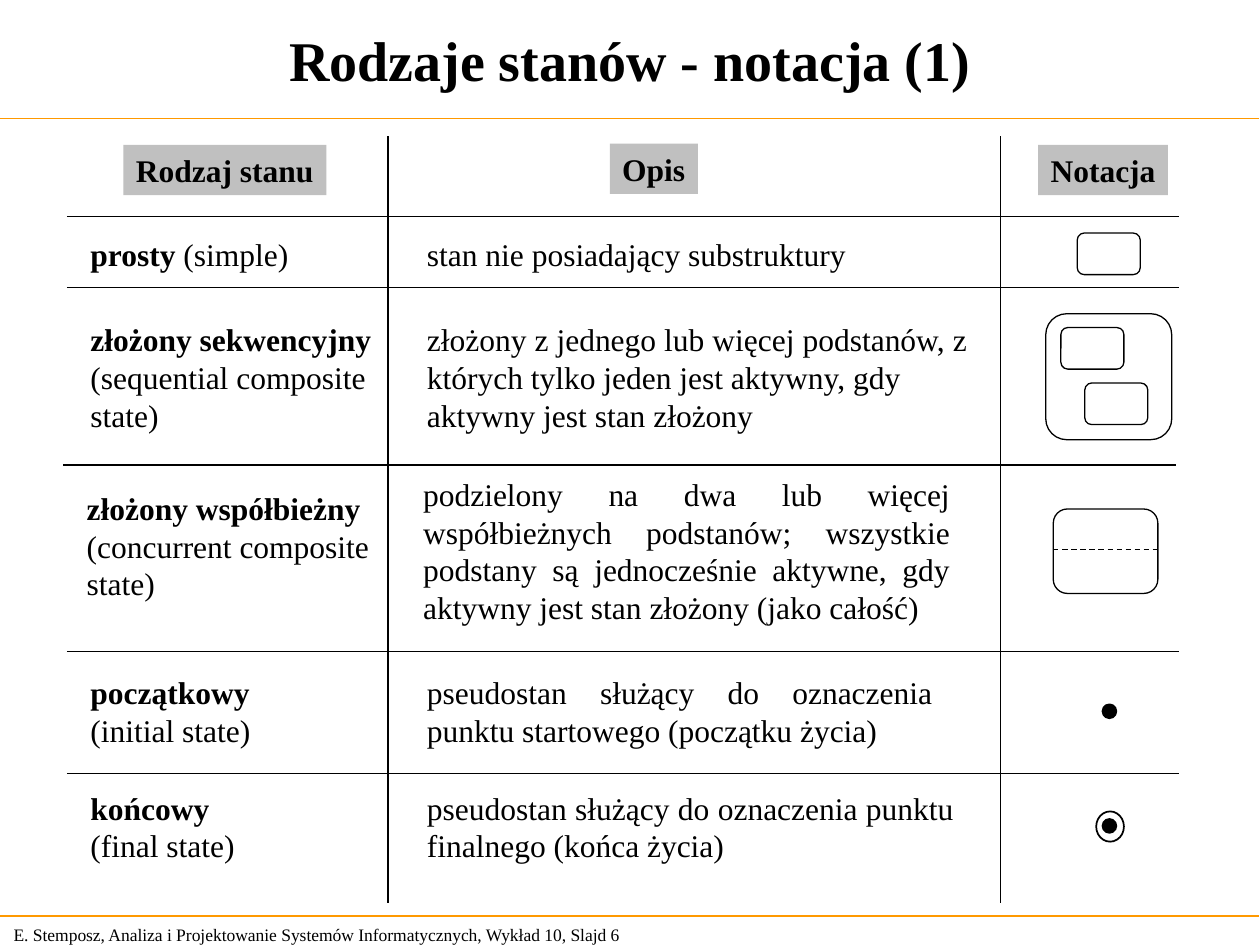
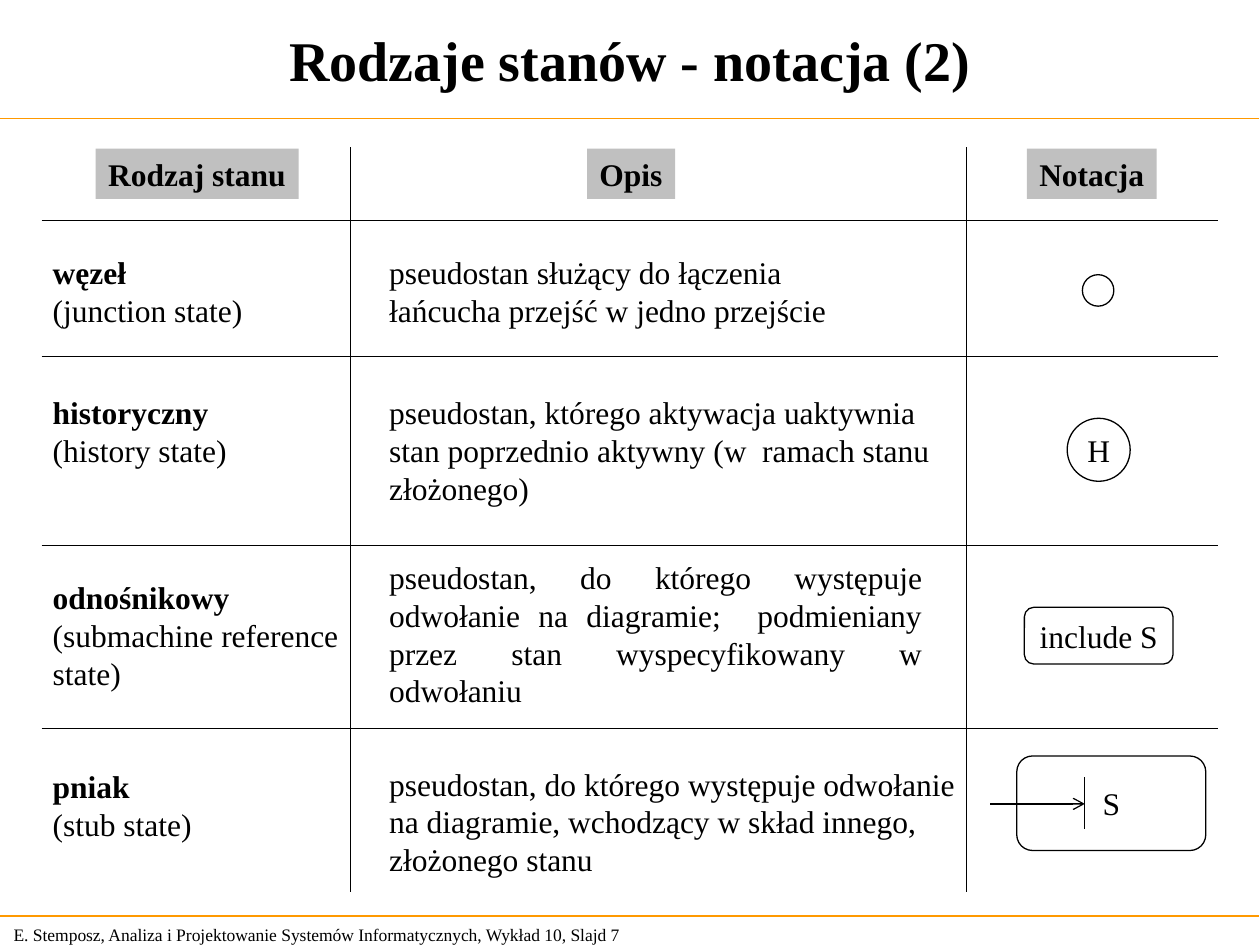
"""Build two slides that list kinds of UML states with their notation."""
from dataclasses import dataclass
from typing import Optional

from lxml import etree
from pptx import Presentation
from pptx.dml.color import RGBColor
from pptx.enum.dml import MSO_LINE
from pptx.enum.shapes import MSO_CONNECTOR, MSO_SHAPE
from pptx.enum.text import MSO_ANCHOR, PP_ALIGN
from pptx.oxml.ns import qn
from pptx.util import Emu, Pt

PX = 9144
FONT = "Times New Roman"
BLACK = RGBColor(0x00, 0x00, 0x00)
WHITE = RGBColor(0xFF, 0xFF, 0xFF)
SILVER = RGBColor(0xC0, 0xC0, 0xC0)
ORANGE = RGBColor(0xFF, 0x99, 0x00)

STRAIGHT = MSO_CONNECTOR.STRAIGHT
ROUNDED = MSO_SHAPE.ROUNDED_RECTANGLE
OVAL = MSO_SHAPE.OVAL
DASH = MSO_LINE.DASH
LEFT, CENTER, JUSTIFY = PP_ALIGN.LEFT, PP_ALIGN.CENTER, PP_ALIGN.JUSTIFY
TOP, MIDDLE = MSO_ANCHOR.TOP, MSO_ANCHOR.MIDDLE

LINE_HEIGHT = 30
TEXT_PADDING = 10
BODY_SIZE = 18
HEADINGS = (("Rodzaj stanu", 161), ("Opis", 70), ("Notacja", 103))
FOOTER = "E. Stemposz, Analiza i Projektowanie Systemów Informatycznych, Wykład 10, Slajd {}"


@dataclass(frozen=True)
class Box:
    """A rectangle in px."""
    x: int
    y: int
    width: int
    height: int

    def emu(self) -> tuple[Emu, ...]:
        """Return the four lengths in EMU."""
        return tuple(Emu(v * PX) for v in (self.x, self.y, self.width, self.height))


@dataclass(frozen=True)
class Stroke:
    """A straight line in px."""
    x1: int
    y1: int
    x2: int
    y2: int
    color: RGBColor = BLACK
    dashed: bool = False
    arrow: bool = False


@dataclass(frozen=True)
class Symbol:
    """A notation symbol, with a label if it carries one."""
    kind: int
    box: Box
    fill: Optional[RGBColor] = WHITE
    weight: float = 0.75
    label: str = ""


@dataclass(frozen=True)
class State:
    """A row: the rule above it, the state's name and its description."""
    rule_y: int
    name_y: int
    term: str
    gloss: tuple[str, ...]
    description_y: int
    description_width: int
    description_lines: int
    description: tuple[str, ...]
    justified: bool = False
    inline_gloss: bool = False
    shift: int = 0


@dataclass(frozen=True)
class StatesPage:
    """One page of the list of states."""
    title: str
    number: int
    heading_spots: tuple[tuple[int, int], ...]
    name_x: int
    description_x: int
    rule_x: tuple[int, int]
    divider_x: tuple[int, int]
    divider_y: tuple[int, int]
    states: tuple[State, ...]
    symbols: tuple[Symbol, ...]
    strokes: tuple[Stroke, ...]


PAGES = (
    StatesPage(
        "Rodzaje stanów - notacja (1)", 6, ((98, 115), (484, 114), (824, 115)),
        62, 329, (53, 936), (308, 794), (108, 717),
        (
            State(172, 182, "prosty", (" (simple)",), 182, 362, 1,
                  ("stan nie posiadający substruktury",), inline_gloss=True),
            State(228, 249, "złożony sekwencyjny", ("(sequential composite", "state)"),
                  249, 455, 3,
                  ("złożony z jednego lub więcej podstanów, z  których tylko jeden "
                   "jest aktywny, gdy", "aktywny jest stan złożony"), justified=True),
            State(369, 383, "złożony współbieżny", ("(concurrent composite", "state)"),
                  372, 438, 4,
                  ("podzielony na dwa lub więcej współbieżnych podstanów; wszystkie "
                   "podstany są jednocześnie aktywne, gdy aktywny jest stan złożony "
                   "(jako całość)",), justified=True, shift=-3),
            State(517, 529, "początkowy", ("(initial state)",), 529, 421, 2,
                  ("pseudostan służący do oznaczenia punktu startowego "
                   "(początku życia)",), justified=True),
            State(614, 621, "końcowy", ("(final state)",), 621, 438, 2,
                  ("pseudostan służący do oznaczenia punktu finalnego "
                   "(końca życia)",), justified=True),
        ),
        (
            Symbol(ROUNDED, Box(855, 185, 50, 33)),
            Symbol(ROUNDED, Box(830, 249, 100, 100)),
            Symbol(ROUNDED, Box(842, 260, 50, 33)),
            Symbol(ROUNDED, Box(861, 304, 50, 33)),
            Symbol(ROUNDED, Box(836, 404, 83, 67)),
            Symbol(OVAL, Box(875, 559, 11, 11), BLACK, 1),
            Symbol(OVAL, Box(870, 644, 22, 24), None, 1),
            Symbol(OVAL, Box(875, 650, 11, 11), BLACK, 1),
        ),
        (Stroke(836, 436, 919, 436, dashed=True),),
    ),
    StatesPage(
        "Rodzaje stanów - notacja (2)", 7, ((76, 118), (466, 118), (815, 118)),
        32, 299, (33, 967), (278, 767), (117, 708),
        (
            State(175, 196, "węzeł", ("(junction state)",), 196, 377, 2,
                  ("pseudostan służący do łączenia",
                   "łańcucha przejść w jedno przejście")),
            State(283, 307, "historyczny", ("(history state)",), 307, 459, 3,
                  ("pseudostan, którego aktywacja uaktywnia",
                   "stan poprzednio aktywny (w  ramach stanu", "złożonego)")),
            State(433, 454, "odnośnikowy", ("(submachine reference", "state)"),
                  438, 443, 4,
                  ("pseudostan, do którego występuje odwołanie na diagramie;  "
                   "podmieniany przez stan wyspecyfikowany w odwołaniu",),
                  justified=True),
            State(578, 604, "pniak", ("(stub state)",), 602, 479, 3,
                  ("pseudostan, do którego występuje odwołanie",
                   "na diagramie, wchodzący w skład innego,", "złożonego stanu")),
        ),
        (
            Symbol(OVAL, Box(859, 218, 25, 25)),
            Symbol(OVAL, Box(847, 332, 50, 50), label="H"),
            Symbol(ROUNDED, Box(813, 482, 118, 45), label="include S"),
            Symbol(ROUNDED, Box(807, 600, 150, 75), label="S"),
        ),
        (Stroke(861, 617, 861, 658), Stroke(786, 638, 861, 638, arrow=True)),
    ),
)


def style_paragraph(paragraph, size: int, bold: Optional[bool], align: int) -> None:
    """Set the alignment and font of a paragraph."""
    paragraph.alignment = align
    font = paragraph.font
    font.name, font.size, font.bold = FONT, Pt(size), bold
    font.color.rgb = BLACK


def add_text(slide, box: Box, lines: tuple[str, ...], size: int = BODY_SIZE,
             bold: bool = False, align: int = LEFT, anchor: int = TOP,
             wrap: bool = False):
    """Add a text box with one paragraph per line."""
    textbox = slide.shapes.add_textbox(*box.emu())
    frame = textbox.text_frame
    frame.word_wrap, frame.vertical_anchor = wrap, anchor
    frame.text = "\n".join(lines)
    for paragraph in frame.paragraphs:
        style_paragraph(paragraph, size, bold, align)
    return textbox


def add_stroke(slide, stroke: Stroke) -> None:
    """Draw a line, dashed or with an arrowhead if asked."""
    ends = (Emu(v * PX) for v in (stroke.x1, stroke.y1, stroke.x2, stroke.y2))
    connector = slide.shapes.add_connector(STRAIGHT, *ends)
    connector.line.color.rgb = stroke.color
    connector.line.width = Pt(0.75)
    if stroke.dashed:
        connector.line.dash_style = DASH
    if stroke.arrow:
        outline = connector.line._get_or_add_ln()
        etree.SubElement(outline, qn("a:tailEnd"), type="arrow")
    etree.SubElement(connector._element.spPr, qn("a:effectLst"))


def add_symbol(slide, symbol: Symbol) -> None:
    """Draw a notation symbol."""
    shape = slide.shapes.add_shape(symbol.kind, *symbol.box.emu())
    shape.shadow.inherit = False
    if symbol.fill is None:
        shape.fill.background()
    else:
        shape.fill.solid()
        shape.fill.fore_color.rgb = symbol.fill
    shape.line.color.rgb = BLACK
    shape.line.width = Pt(symbol.weight)
    if symbol.label:
        frame = shape.text_frame
        frame.word_wrap, frame.vertical_anchor = False, MIDDLE
        frame.text = symbol.label
        style_paragraph(frame.paragraphs[0], BODY_SIZE, False, CENTER)


def text_height(lines: int) -> int:
    """Return the height of a body text box."""
    return LINE_HEIGHT * lines + TEXT_PADDING


def add_state(slide, page: StatesPage, state: State) -> None:
    """Draw a row's rule, name and description."""
    left, right = (x + state.shift for x in page.rule_x)
    add_stroke(slide, Stroke(left, state.rule_y, right, state.rule_y))

    name_lines = (state.term,) if state.inline_gloss else (state.term, *state.gloss)
    name_box = Box(page.name_x + state.shift, state.name_y,
                   page.divider_x[0] - page.name_x + TEXT_PADDING,
                   text_height(len(name_lines)))
    name = add_text(slide, name_box, name_lines).text_frame.paragraphs[0]
    if state.inline_gloss:
        name.font.bold = None
        name.runs[0].font.bold = True
        gloss = name.add_run()
        gloss.text, gloss.font.bold = state.gloss[0], False
    else:
        name.font.bold = True

    description_box = Box(page.description_x + state.shift, state.description_y,
                          state.description_width, text_height(state.description_lines))
    add_text(slide, description_box, state.description,
             align=JUSTIFY if state.justified else LEFT, wrap=state.justified)


def add_frame(slide, page: StatesPage) -> None:
    """Draw the title, orange lines and footer."""
    add_text(slide, Box(1, 728, 524, 27), (FOOTER.format(page.number),), 10,
             anchor=MIDDLE, wrap=True)
    for y in (94, 727):
        add_stroke(slide, Stroke(-1, y, 999, y, ORANGE))
    add_text(slide, Box(4, 4, 992, 85), (page.title,), 32, True, CENTER, MIDDLE, True)


def add_page(deck, page: StatesPage) -> None:
    """Add one page of states to the deck."""
    slide = deck.slides.add_slide(deck.slide_layouts[6])
    add_frame(slide, page)
    for (heading, width), (x, y) in zip(HEADINGS, page.heading_spots):
        label = add_text(slide, Box(x, y, width, text_height(1)), (heading,), bold=True)
        label.fill.solid()
        label.fill.fore_color.rgb = SILVER
    for state in page.states:
        add_state(slide, page, state)
    for x in page.divider_x:
        add_stroke(slide, Stroke(x, page.divider_y[0], x, page.divider_y[1]))
    for symbol in page.symbols:
        add_symbol(slide, symbol)
    for stroke in page.strokes:
        add_stroke(slide, stroke)


def main() -> None:
    """Build and save the deck."""
    deck = Presentation()
    deck.slide_width, deck.slide_height = Emu(1000 * PX), Emu(750 * PX)
    for page in PAGES:
        add_page(deck, page)
    deck.save("out.pptx")


if __name__ == "__main__":
    main()
